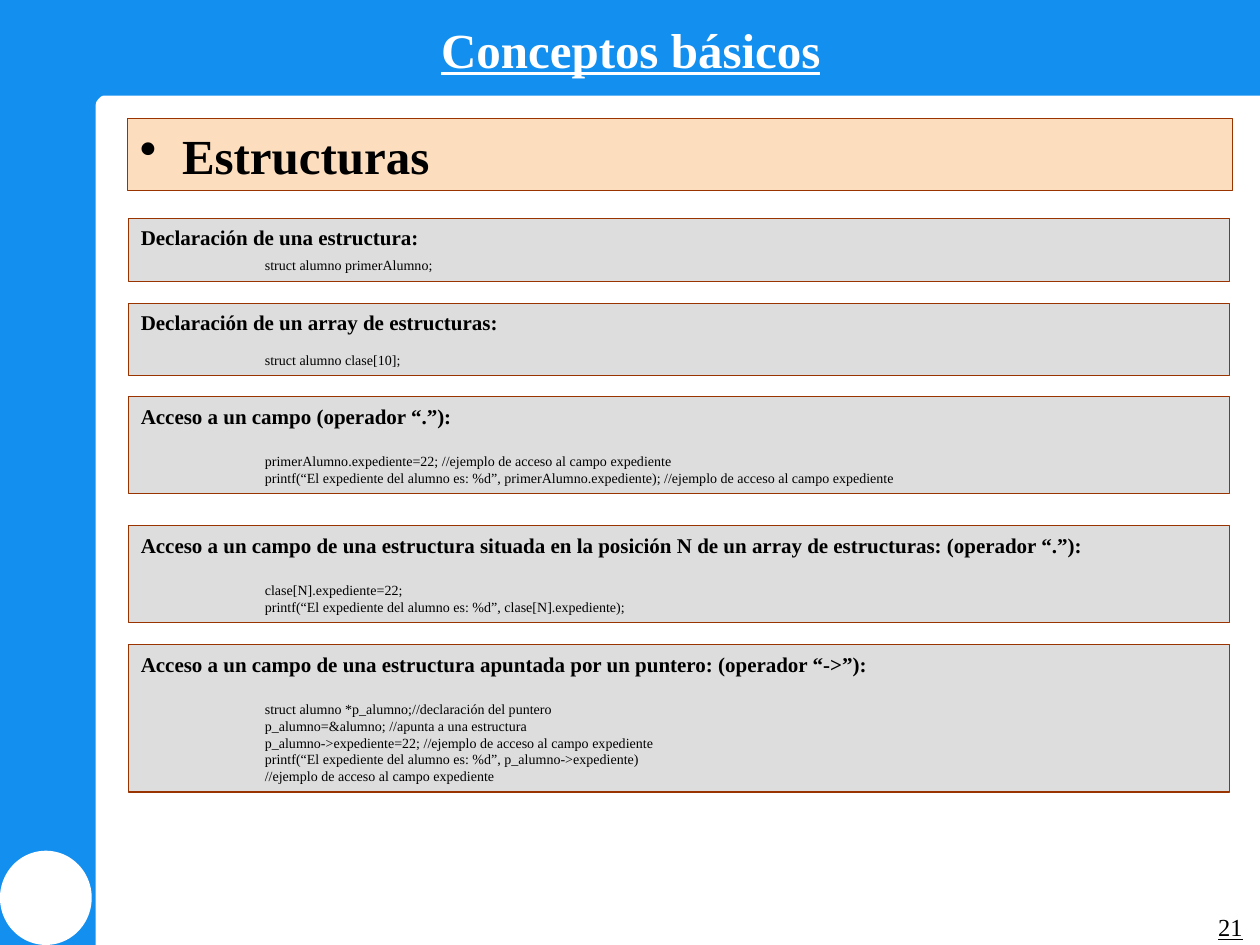
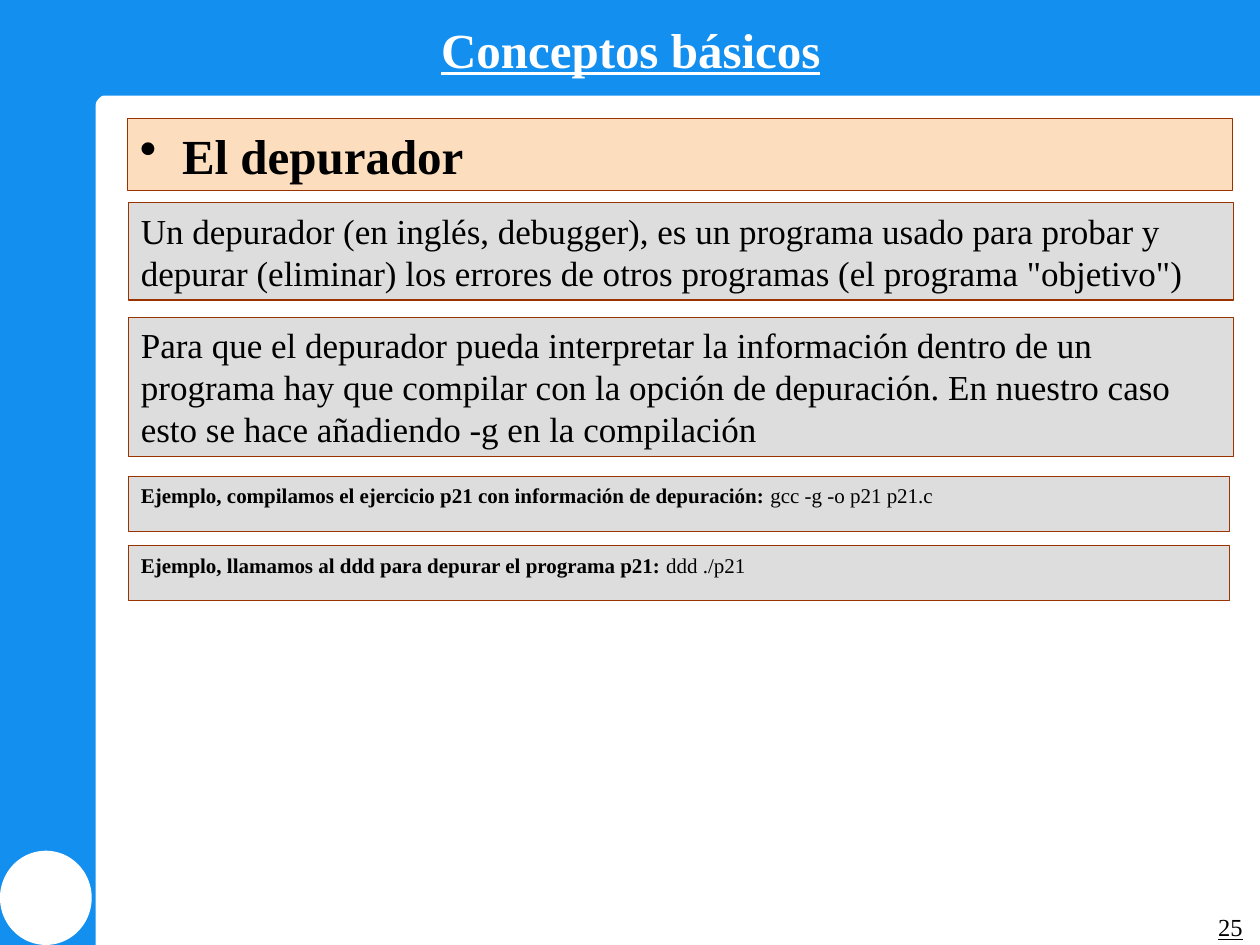
from dataclasses import dataclass

from lxml import etree
from pptx import Presentation
from pptx.dml.color import RGBColor
from pptx.enum.shapes import MSO_SHAPE
from pptx.enum.text import MSO_ANCHOR, PP_ALIGN
from pptx.oxml.ns import qn
from pptx.util import Cm, Pt

RECTANGLE, OVAL, PLAQUE = MSO_SHAPE.RECTANGLE, MSO_SHAPE.OVAL, MSO_SHAPE.PLAQUE
TOP, BOTTOM = MSO_ANCHOR.TOP, MSO_ANCHOR.BOTTOM
CENTER, RIGHT = PP_ALIGN.CENTER, PP_ALIGN.RIGHT


@dataclass(frozen=True)
class Theme:
    font: str = "Times New Roman"
    blue: str = "138FF0"
    white: str = "FFFFFF"
    black: str = "000000"
    peach: str = "FCDEBE"
    grey: str = "DDDDDD"
    brown: str = "993300"
    title: int = 28
    body: int = 20
    number: int = 14
    label: int = 12
    code: int = 8


THEME = Theme()
SLIDE_WIDTH, SLIDE_HEIGHT = 25.4, 19.05
PANEL_LEFT, PANEL_WIDTH, WIDE_WIDTH = 2.59, 22.2, 22.28
CODE_INDENT = 2.5
BULLET_INDENT = 0.85


def rgb(value):
    return RGBColor.from_string(value)


def add_block(page, kind, box, fill, line=None):
    """Add a filled preset shape; box is left, top, width, height in cm."""
    shape = page.shapes.add_shape(kind, *map(Cm, box))
    shape.shadow.inherit = False
    shape.fill.solid()
    shape.fill.fore_color.rgb = rgb(fill)
    if line:
        shape.line.color.rgb = rgb(line)
        shape.line.width = Pt(0.75)
    else:
        shape.line.fill.background()
    return shape


def prepare_frame(shape, anchor=TOP):
    frame = shape.text_frame
    frame.word_wrap = True
    frame.vertical_anchor = anchor
    frame.margin_left = frame.margin_right = Cm(0.25)
    frame.margin_top = frame.margin_bottom = Cm(0.13)
    return frame


def style_font(font, size, color=THEME.black, bold=False, underline=False):
    font.name = THEME.font
    font.size = Pt(size)
    font.color.rgb = rgb(color)
    font.bold = bold
    font.underline = underline


def indent(para, margin, first=0.0):
    properties = para._p.get_or_add_pPr()
    properties.set("marL", str(Cm(margin)))
    properties.set("indent", str(Cm(first)))
    return properties


def add_line(page, box, text, align, anchor, size, **style):
    """Add a one-line text box."""
    frame = prepare_frame(page.shapes.add_textbox(*map(Cm, box)), anchor)
    frame.text = text
    para = frame.paragraphs[0]
    para.alignment = align
    style_font(para.runs[0].font, size, **style)


def add_frame(page):
    # Side and top bands with the rounded inner corner
    add_block(page, RECTANGLE, (0, 1.75, 1.93, SLIDE_HEIGHT - 1.75), THEME.blue)
    add_block(page, RECTANGLE, (0, 0, SLIDE_WIDTH, 1.93), THEME.blue)
    add_block(page, OVAL, (0, 17.15, 1.85, 1.9), THEME.white)
    corner = add_block(page, PLAQUE, (0.13, 0.28, 2.1, 1.93), THEME.blue)
    corner.adjustments[0] = 0.17


def add_heading(page, box, text):
    shape = add_block(page, RECTANGLE, box, THEME.peach, THEME.brown)
    frame = prepare_frame(shape, BOTTOM)
    frame.text = text
    para = frame.paragraphs[0]
    para.alignment = PP_ALIGN.LEFT
    properties = indent(para, BULLET_INDENT, -BULLET_INDENT)
    etree.SubElement(properties, qn("a:buChar")).set("char", "•")
    style_font(para.runs[0].font, THEME.title, bold=True)


def add_panel(page, box):
    """Add an empty grey panel and return its text frame."""
    return prepare_frame(add_block(page, RECTANGLE, box, THEME.grey, THEME.brown))


def add_code_panel(page, box, label, gap, lines):
    frame = add_panel(page, box)
    frame.text = "\n".join([label, *lines])
    for index, para in enumerate(frame.paragraphs):
        para.alignment = PP_ALIGN.LEFT
        is_label = index == 0
        if not is_label:
            indent(para, CODE_INDENT)
        if index == 1:
            para.space_before = Pt(gap)
        style_font(para.runs[0].font, THEME.label if is_label else THEME.code, bold=is_label)


def add_text_panel(page, box, size, *spans):
    """Fill a panel with one paragraph of (text, bold) spans."""
    para = add_panel(page, box).paragraphs[0]
    para.alignment = PP_ALIGN.LEFT
    for text, bold in spans:
        span = para.add_run()
        span.text = text
        style_font(span.font, size, bold=bold)


def add_page(deck, heading, number):
    page = deck.slides.add_slide(deck.slide_layouts[6])
    add_frame(page)
    add_line(page, (17.73, 18.26, 7.57, 0.79), number, RIGHT, TOP,
             THEME.number, underline=True)
    add_line(page, (3.66, 0.25, 18.11, 1.45), "Conceptos básicos", CENTER, BOTTOM,
             THEME.title, color=THEME.white, bold=True, underline=True)
    add_heading(page, (2.57, 2.39, WIDE_WIDTH, 1.45), heading)
    return page


def add_structures_page(deck):
    page = add_page(deck, "Estructuras", "21")
    # Top, height, label, gap under the label in points, code lines
    panels = [
        (4.4, 1.27, "Declaración de una estructura:", 3.6,
         ["struct alumno primerAlumno;"]),
        (6.12, 1.45, "Declaración de un array de estructuras:", 9.2,
         ["struct alumno clase[10];"]),
        (8, 1.95, "Acceso a un campo (operador “.”):", 13.8,
         ["primerAlumno.expediente=22; //ejemplo de acceso al campo expediente",
          "printf(“El expediente del alumno es: %d”, primerAlumno.expediente); "
          "//ejemplo de acceso al campo expediente"]),
        (10.6, 1.95, "Acceso a un campo de una estructura situada en la posición N "
         "de un array de estructuras: (operador “.”):", 13.8,
         ["clase[N].expediente=22;",
          "printf(“El expediente del alumno es: %d”, clase[N].expediente);"]),
        (13, 2.97, "Acceso a un campo de una estructura apuntada por un puntero: "
         "(operador “->”):", 13.8,
         ["struct alumno *p_alumno;//declaración del puntero",
          "p_alumno=&alumno; //apunta a una estructura",
          "p_alumno->expediente=22; //ejemplo de acceso al campo expediente",
          "printf(“El expediente del alumno es: %d”, p_alumno->expediente)",
          "//ejemplo de acceso al campo expediente"]),
    ]
    for top, height, label, gap, lines in panels:
        add_code_panel(page, (PANEL_LEFT, top, PANEL_WIDTH, height), label, gap, lines)


def add_debugger_page(deck):
    page = add_page(deck, "El depurador", "25")
    # Explanations
    explanations = [
        (4.09, 1.96, "Un depurador (en inglés, debugger), es un programa usado para "
         "probar y depurar (eliminar) los errores de otros programas "
         "(el programa \"objetivo\")"),
        (6.4, 2.8, "Para que el depurador pueda interpretar la información dentro de un "
         "programa hay que compilar con la opción de depuración. En nuestro caso "
         "esto se hace añadiendo -g en la compilación"),
    ]
    for top, height, text in explanations:
        add_text_panel(page, (PANEL_LEFT, top, WIDE_WIDTH, height), THEME.body, (text, False))
    # Example commands
    examples = [
        (9.6, "Ejemplo, compilamos el ejercicio p21 con información de depuración: ",
         "gcc -g -o p21 p21.c"),
        (11, "Ejemplo, llamamos al ddd para depurar el programa p21:", " ddd ./p21"),
    ]
    for top, label, command in examples:
        add_text_panel(page, (PANEL_LEFT, top, PANEL_WIDTH, 1.11), THEME.label,
                       (label, True), (command, False))


def main():
    deck = Presentation()
    deck.slide_width, deck.slide_height = Cm(SLIDE_WIDTH), Cm(SLIDE_HEIGHT)
    add_structures_page(deck)
    add_debugger_page(deck)
    deck.save("out.pptx")


if __name__ == "__main__":
    main()
